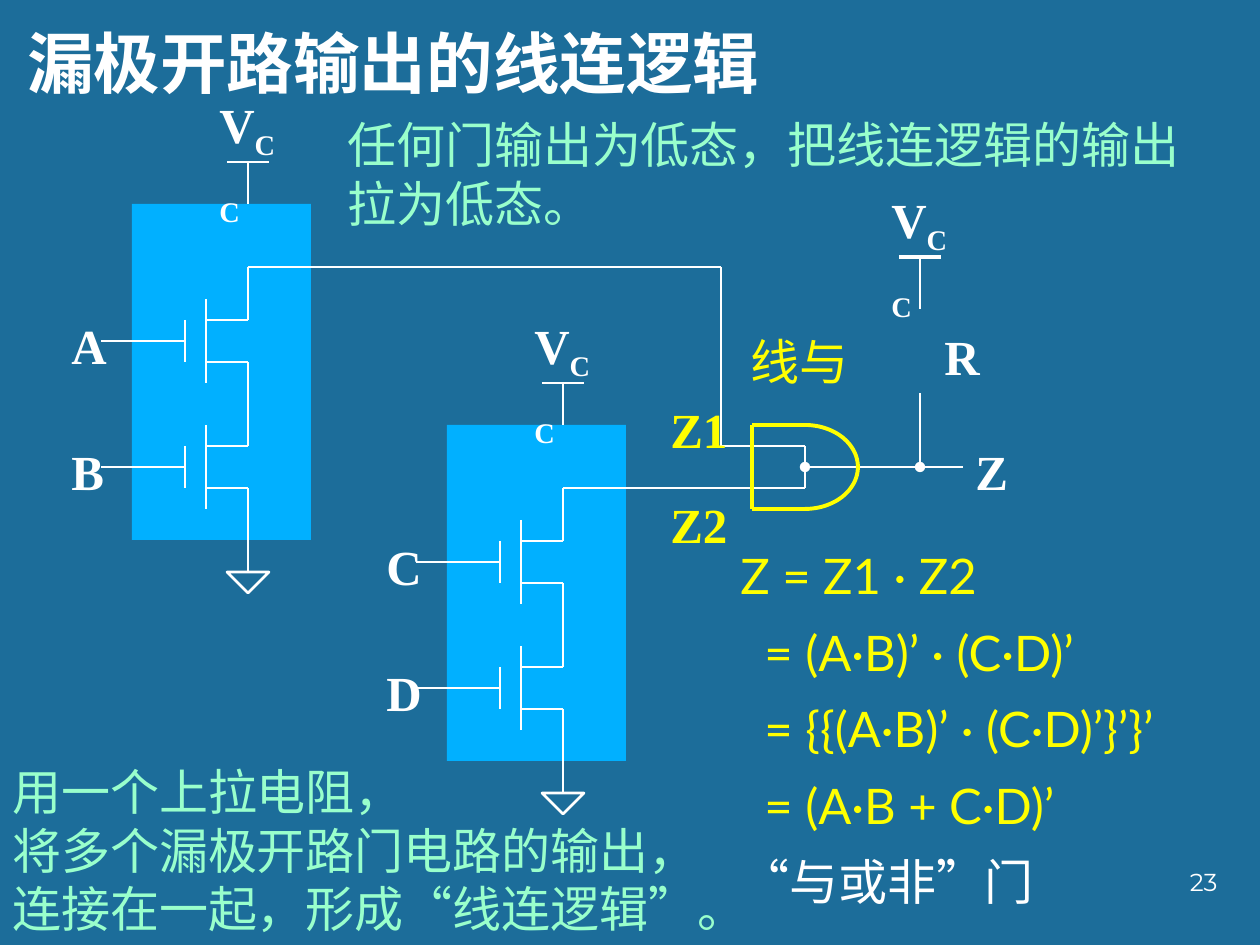
import math
from pptx import Presentation
from pptx import util as u
from pptx.dml.color import RGBColor
from pptx.enum import shapes, text
from pptx.oxml.ns import qn
from lxml import etree

SCALE = 914400 / 126
SERIF, SANS, LATIN = "Times New Roman", "Noto Sans CJK SC", "Lato"
WHITE, YELLOW, MINT, SKY = "FFFFFF", "FFFF00", "99FFCC", "01B0FF"


def px(n):
    return u.Emu(round(n * SCALE))


def paint(fmt, color):
    fmt.solid()
    fmt.fore_color.rgb = RGBColor.from_string(color)


def wire(slide, x1, y1, x2, y2, color=WHITE, width=1.5, dot=False):
    line = slide.shapes.add_connector(
        shapes.MSO_CONNECTOR.STRAIGHT, px(x1), px(y1), px(x2), px(y2))
    paint(line.line.fill, color)
    line.line.width = u.Pt(width)
    if dot:
        etree.SubElement(line.line._get_or_add_ln(), qn("a:headEnd"), type="oval")
    etree.SubElement(line._element.spPr, qn("a:effectLst"))


def label(slide, words, x, y, w, h, font=SERIF, size=28, color=WHITE, bold=False,
          sub="", wrap=True, space=None, align=None, anchor=text.MSO_ANCHOR.TOP):
    frame = slide.shapes.add_textbox(px(x), px(y), px(w), px(h)).text_frame
    frame.word_wrap = wrap
    frame.vertical_anchor = anchor
    for i, row in enumerate(words.split("\n")):
        para = frame.paragraphs[0] if i == 0 else frame.add_paragraph()
        para.line_spacing = space
        para.alignment = align
        for part in filter(None, (row, sub)):
            run = para.add_run()
            run.text = part
            run.font.name = font
            run.font.size = u.Pt(size)
            run.font.bold = bold
            run.font.color.rgb = RGBColor.from_string(color)
            props = run._r.get_or_add_rPr()
            etree.SubElement(props, qn("a:ea"), typeface=SANS)
            if part is sub:
                props.set("baseline", "-25000")
    return frame


def block(slide, kind, x, y, w, h, fill=None):
    shape = slide.shapes.add_shape(kind, px(x), px(y), px(w), px(h))
    shape.shadow.inherit = False
    if fill:
        paint(shape.fill, fill)
        shape.line.fill.background()
    else:
        shape.fill.background()
        paint(shape.line.fill, WHITE)
        shape.line.width = u.Pt(1.5)
    return shape


def supply(slide, x, y, drop, width=1.5):
    wire(slide, x, y, x, y + drop)
    wire(slide, x - 21, y, x + 21, y, width=width)
    label(slide, "V", x - 41, y - 74, 82, 63, bold=True, sub="CC")


def switch(slide, x, y, name):
    wire(slide, x - 63, y, x - 147, y)
    wire(slide, x - 63, y - 21, x - 63, y + 21)
    wire(slide, x - 42, y - 42, x - 42, y + 42)
    for side in (-21, 21):
        wire(slide, x - 42, y + side, x, y + side)
    label(slide, name, x - 189, y - 32, 50, 63, bold=True)


def stage(slide, left, top, names, end):
    block(slide, shapes.MSO_SHAPE.RECTANGLE, left, top, 179, 336, SKY)
    x = left + 116
    supply(slide, x, top - 42, 42)
    for i, name in enumerate(names):
        switch(slide, x, top + 137 + 126 * i, name)
    for a, b in ((63, 116), (158, 242), (284, 368)):
        wire(slide, x, top + a, x, top + b)
    wire(slide, x, top + 63, end, top + 63)
    ground = block(slide, shapes.MSO_SHAPE.ISOSCELES_TRIANGLE, x - 21, top + 368, 42, 21)
    ground.rotation = 180


def gate(slide, x, y):
    turns = [math.pi * i / 48 for i in range(49)]
    dots = [(px(x + 53 * math.sin(t)), px(y - 42 * math.cos(t))) for t in turns]
    pen = slide.shapes.build_freeform(*dots[0])
    pen.add_line_segments(dots[1:], close=False)
    arc = pen.convert_to_shape()
    arc.shadow.inherit = False
    arc.fill.background()
    paint(arc.line.fill, YELLOW)
    arc.line.width = u.Pt(2.25)
    back = x - 53
    for ends in ((x, y - 42, back, y - 42), (x, y + 42, back, y + 42),
                 (back, y - 42, back, y + 42)):
        wire(slide, *ends, color=YELLOW, width=2.25)


def main():
    deck = Presentation()
    deck.slide_width, deck.slide_height = px(1260), px(945)
    slide = deck.slides.add_slide(deck.slide_layouts[6])
    paint(slide.background.fill, "1C6D9A")

    stage(slide, 132, 204, "AB", 721)
    stage(slide, 447, 425, "CD", 805)
    supply(slide, 920, 257, 52, width=2.25)
    wire(slide, 920, 467, 920, 393, dot=True)
    label(slide, "R", 932, 320, 50, 63, bold=True)
    label(slide, "Z", 963, 435, 47, 63, bold=True)

    wire(slide, 721, 267, 721, 446)
    wire(slide, 721, 446, 805, 446)
    wire(slide, 805, 446, 805, 488)
    wire(slide, 805, 467, 963, 467, dot=True)

    sums = label(slide, "Z = Z1 · Z2\n= (A·B)’ · (C·D)’\n= {{(A·B)’ · (C·D)’}’}’\n"
                 "= (A·B + C·D)’\n“与或非”门", 728, 522, 542, 398,
                 font=LATIN, color=YELLOW, space=1.3)
    for para in sums.paragraphs[1:4]:
        para._p.get_or_add_pPr().set("marL", str(px(24)))
    last = sums.paragraphs[4].runs[0].font
    last.name = SANS
    last.color.rgb = RGBColor.from_string(WHITE)

    label(slide, "漏极开路输出的线连逻辑", 15, 15, 1256, 93, font=SANS, size=38,
          bold=True, anchor=text.MSO_ANCHOR.BOTTOM)
    gate(slide, 805, 467)
    label(slide, "Z1", 658, 393, 84, 72, color=YELLOW, bold=True)
    label(slide, "Z2", 658, 488, 84, 72, color=YELLOW, bold=True)
    label(slide, "线与", 738, 325, 124, 72, color=YELLOW)
    label(slide, "23", 968, 861, 262, 63, font="Montserrat", size=14,
          align=text.PP_ALIGN.RIGHT)
    label(slide, "用一个上拉电阻，\n将多个漏极开路门电路的输出，\n连接在一起，形成“线连逻辑”。",
          0, 755, 767, 190, font=SANS, color=MINT, wrap=False)
    label(slide, "任何门输出为低态，把线连逻辑的输出拉为低态。", 335, 108, 876, 131,
          font=SANS, color=MINT)
    deck.save("out.pptx")


if __name__ == "__main__":
    main()
